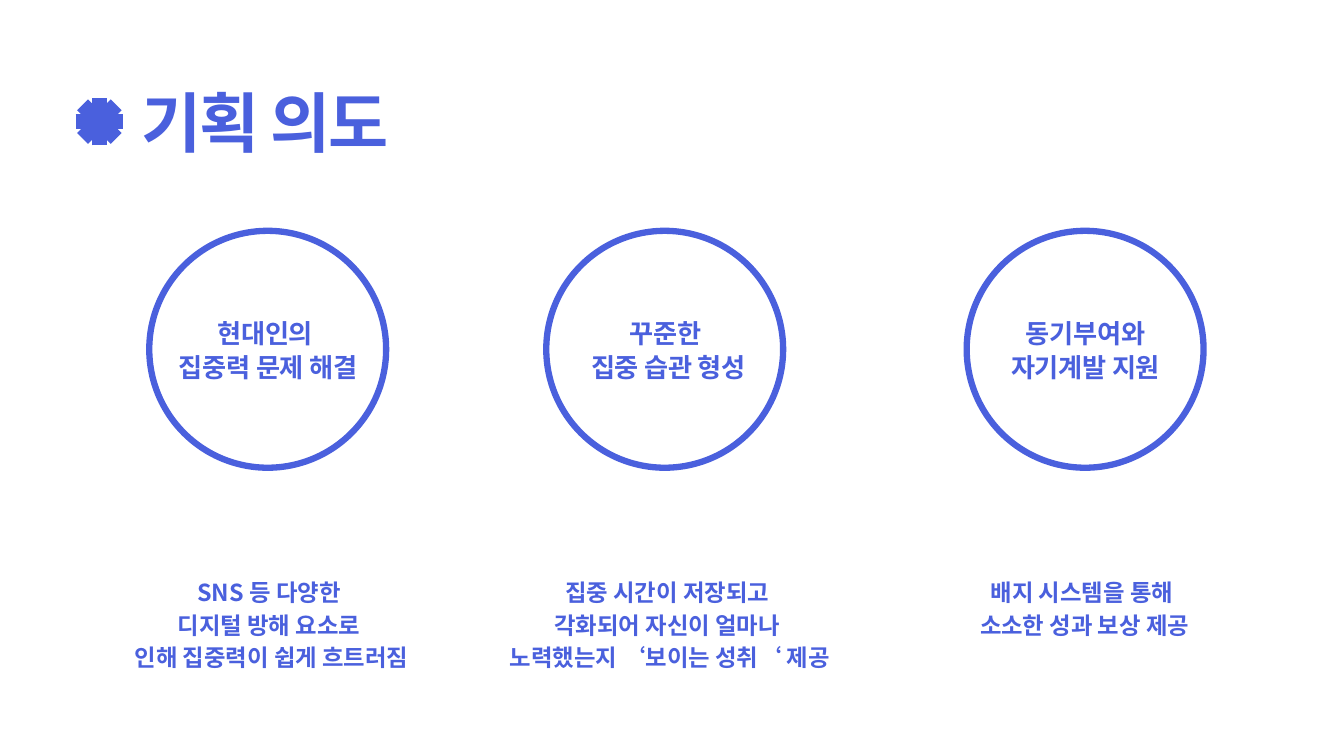
from math import cos, radians, sin

from lxml.etree import SubElement
from pptx import Presentation
from pptx.dml.color import RGBColor
from pptx.enum.shapes import MSO_CONNECTOR as Connector, MSO_SHAPE as Shape
from pptx.enum.text import MSO_AUTO_SIZE as AutoSize, PP_ALIGN as Align
from pptx.oxml.ns import qn
from pptx.util import Pt

FONT = "Noto Sans CJK KR"
BLUE = "4A60DD"


def color(value):
    return RGBColor.from_string(value)


def add_text(text, left, top, width, height, size, leading, align, tracking=0):
    frame = slide.shapes.add_textbox(Pt(left), Pt(top), Pt(width), Pt(height)).text_frame
    frame.word_wrap = True
    frame.auto_size = AutoSize.SHAPE_TO_FIT_TEXT
    frame.margin_left = frame.margin_top = frame.margin_right = frame.margin_bottom = 0
    frame.text = text
    for paragraph in frame.paragraphs:
        paragraph.alignment = align
        paragraph.line_spacing = Pt(leading)
        for run in paragraph.runs:
            run.font.name = FONT
            run.font.size = Pt(size)
            run.font.bold = True
            run.font.color.rgb = color(BLUE)
            properties = run.font._element
            SubElement(properties, qn("a:ea")).set("typeface", FONT)
            if tracking:
                properties.set("spc", str(round(tracking * 100)))


presentation = Presentation()
presentation.slide_width = Pt(960)
presentation.slide_height = Pt(540)
slide = presentation.slides.add_slide(presentation.slide_layouts[6])

burst_x, burst_y, burst_radius = 71, 86.9, 17
for angle in (0, 90, 45, 135):
    dx = burst_radius * cos(radians(angle))
    dy = burst_radius * sin(radians(angle))
    ray = slide.shapes.add_connector(
        Connector.STRAIGHT,
        Pt(burst_x - dx), Pt(burst_y + dy), Pt(burst_x + dx), Pt(burst_y - dy))
    ray.line.color.rgb = color(BLUE)
    ray.line.width = Pt(11)
    SubElement(ray._element.spPr, qn("a:effectLst"))

add_text("기획 의도", 100.8, 56.2, 805, 55.4, 46.7, 58.8, Align.LEFT, -1.4)

goals = [
    (106.6, 94.3, "현대인의 \v집중력 문제 해결",
     48.2, 291.6, 67.7, "SNS 등 다양한 \n디지털 방해 요소로 \n인해 집중력이 쉽게 흐트러짐"),
    (390.2, 380.2, "꾸준한 \v집중 습관 형성",
     308.2, 340.6, 67.7, "집중 시간이 저장되고 \n각화되어 자신이 얼마나 \n노력했는지 ‘보이는 성취‘ 제공"),
    (690.5, 678.2, "동기부여와\v자기계발 지원",
     671.8, 205.9, 44.6, "배지 시스템을 통해 \v소소한 성과 보상 제공"),
]
for ring_left, goal_left, goal, reason_left, reason_width, reason_height, reason in goals:
    ring = slide.shapes.add_shape(Shape.OVAL, Pt(ring_left), Pt(164.9), Pt(169.2), Pt(169.2))
    ring.shadow.inherit = False
    ring.fill.background()
    ring.line.color.rgb = color(BLUE)
    ring.line.width = Pt(4.5)
    add_text(goal, goal_left, 224.6, 194.4, 46.8, 18.7, 24.3, Align.CENTER, -0.2)
    add_text(reason, reason_left, 409.7, reason_width, reason_height, 16.7, 23.3, Align.CENTER)

presentation.save("out.pptx")
